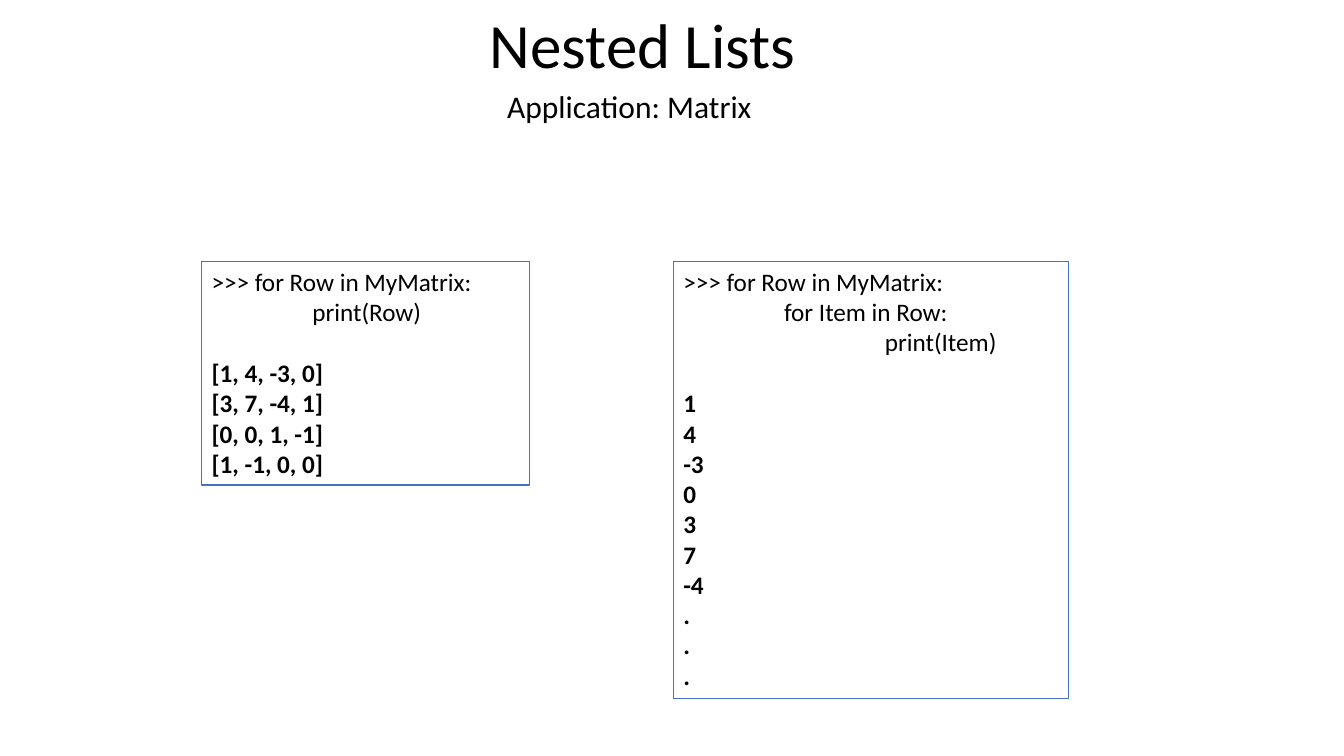
from lxml.etree import SubElement as Sub
from pptx import Presentation as Deck
from pptx.dml.color import RGBColor as Rgb
from pptx.enum.shapes import MSO_SHAPE as Form
from pptx.enum.text import MSO_ANCHOR as Anchor, MSO_AUTO_SIZE as Auto, PP_ALIGN as Align
from pptx.oxml.ns import qn
from pptx.util import Inches, Pt

INK = {"text": "000000", "line": "4472C4"}
CELL = Inches(1 / 12)
PAD = Inches(0.04)
HEAD = dict(margin_left=PAD, margin_right=PAD, margin_top=PAD, margin_bottom=PAD,
            vertical_anchor=Anchor.MIDDLE, word_wrap=False,
            auto_size=Auto.SHAPE_TO_FIT_TEXT)
CODE = dict(vertical_anchor=Anchor.TOP, word_wrap=True,
            auto_size=Auto.SHAPE_TO_FIT_TEXT)
LOOP = ">>> for Row in MyMatrix:"
ROWS = ["[1, 4, -3, 0]", "[3, 7, -4, 1]", "[0, 0, 1, -1]", "[1, -1, 0, 0]"]
ITEMS = ["1", "4", "-3", "0", "3", "7", "-4", ".", ".", "."]


def put(obj, vals):
    """Set each named value on an object."""
    for key, val in vals.items():
        setattr(obj, key, val)


def grid(*spots):
    """Turn columns and rows of the slide's 160 by 90 grid into lengths."""
    return [round(spot * CELL) for spot in spots]


def ink(para, size, bold=False):
    """Style a paragraph's text."""
    para.alignment = Align.LEFT
    for run in para.runs:
        put(run.font, dict(name="Calibri", size=Pt(size), bold=bold))
        run.font.color.rgb = Rgb.from_string(INK["text"])


def head(shape, text, size, spot):
    """Place and style a heading."""
    put(shape, dict(zip(("left", "top", "width", "height"), grid(*spot))))
    frame = shape.text_frame
    put(frame, HEAD)
    frame.text = text
    ink(frame.paragraphs[0], size)


def tabs(para):
    """Give a paragraph tab stops at one and two inches."""
    stops = Sub(para._p.get_or_add_pPr(), qn("a:tabLst"))
    for inch in (1, 2):
        Sub(stops, qn("a:tab"), pos=str(Inches(inch)), algn="l")


def code(slide, spot, lines, outs):
    """Draw a framed box of code followed by its bold output."""
    box = slide.shapes.add_shape(Form.RECTANGLE, *grid(*spot))
    box.shadow.inherit = False
    box.fill.background()
    box.line.color.rgb = Rgb.from_string(INK["line"])
    box.line.width = Pt(0.75)
    frame = box.text_frame
    put(frame, CODE)
    for num, text in enumerate(lines + outs):
        para = frame.add_paragraph() if num else frame.paragraphs[0]
        para.add_run().text = text
        if text.startswith("\t"):
            tabs(para)
        if num == len(lines):
            para.space_before = Pt(22)
        ink(para, 18, num >= len(lines))


def main():
    """Build the slide."""
    deck = Deck()
    put(deck, dict(slide_width=160 * CELL, slide_height=90 * CELL))
    slide = deck.slides.add_slide(deck.slide_layouts[5])
    head(slide.shapes.title, "Nested Lists", 45, (57.84, 0.12, 39.36, 10.08))
    spot = (59.88, 9.84, 30.24, 5.52)
    head(slide.shapes.add_textbox(*grid(*spot)), "Application: Matrix", 22.5, spot)
    code(slide, (24, 31.1, 39, 26.64), [LOOP, "\tprint(Row)"], ROWS)
    code(slide, (80.16, 31.1, 47.04, 52.08),
         [LOOP, "\tfor Item in Row:", "\t\tprint(Item)"], ITEMS)
    deck.save("out.pptx")


if __name__ == "__main__":
    main()
